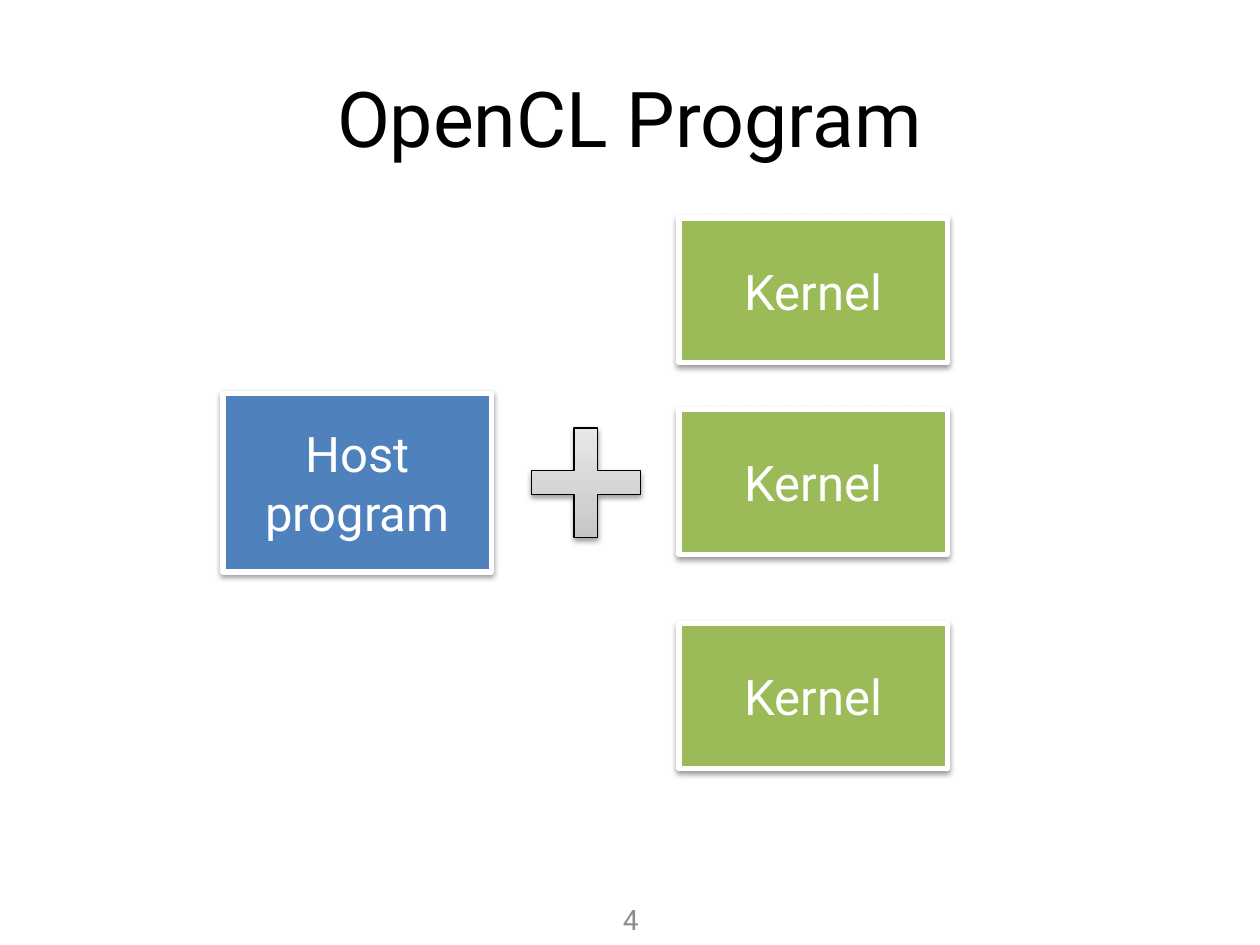
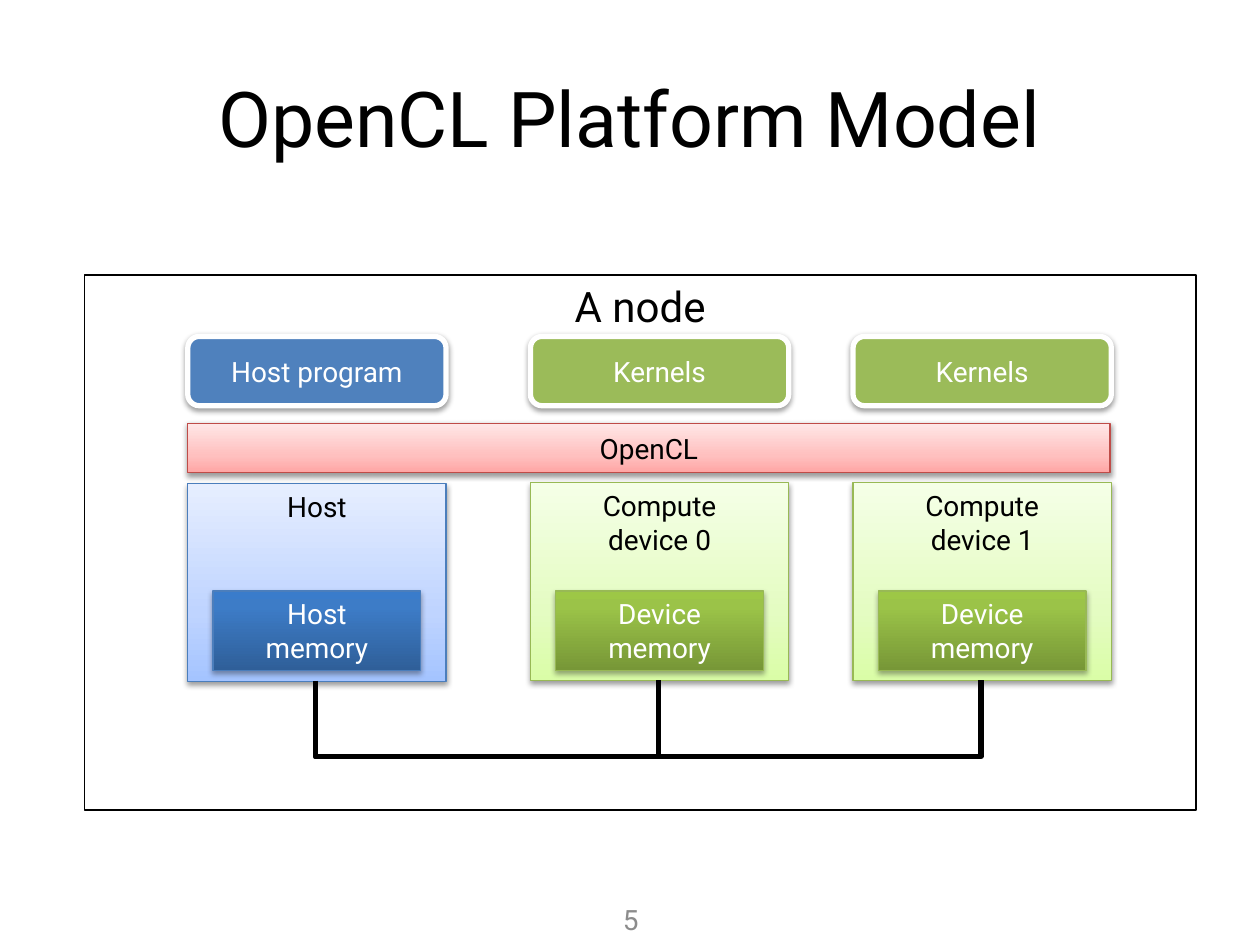
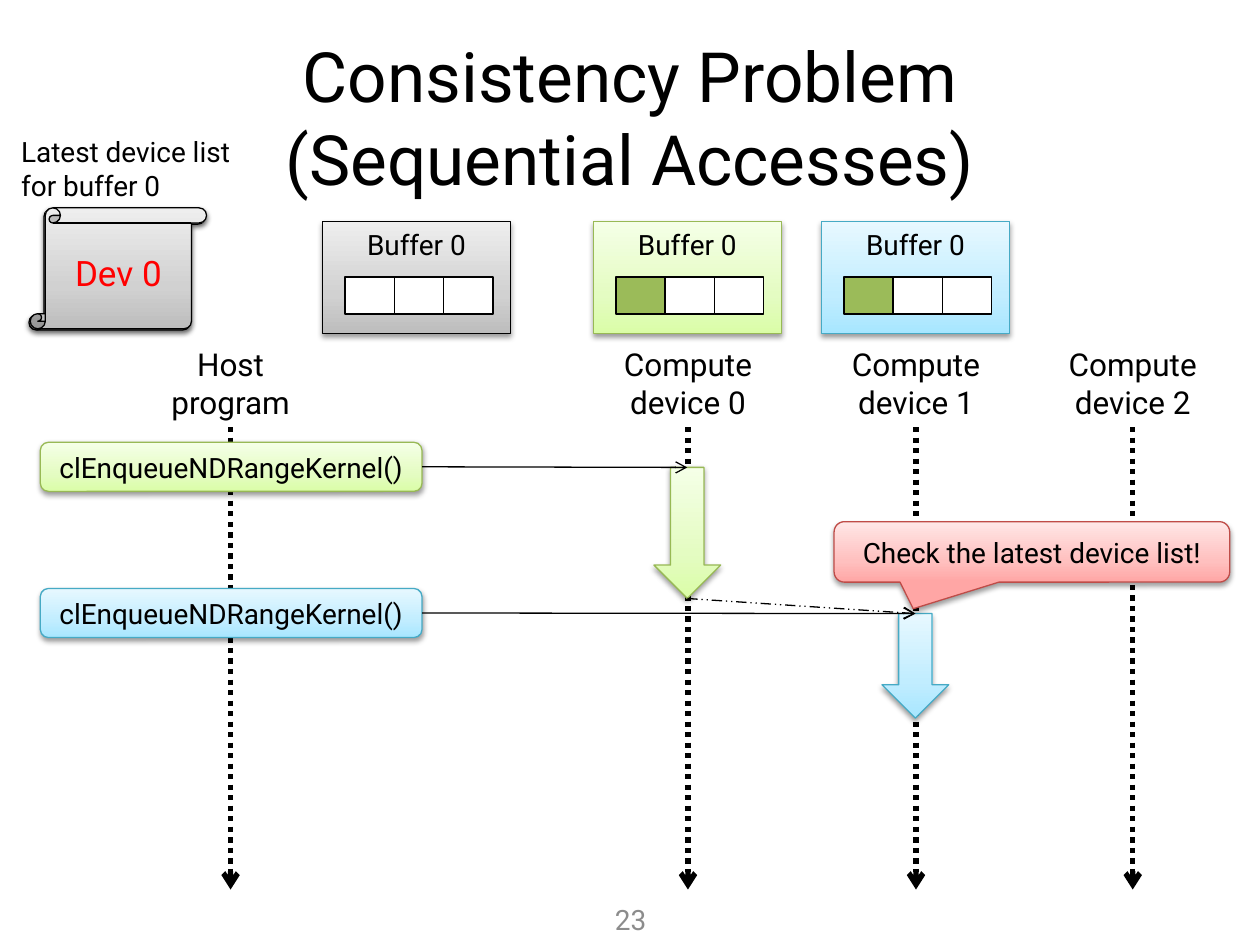
from copy import deepcopy
from dataclasses import dataclass
from typing import Optional

from lxml.etree import SubElement
from pptx import Presentation
from pptx.dml.color import RGBColor
from pptx.enum.dml import MSO_LINE as DASH
from pptx.enum.shapes import MSO_CONNECTOR as CONN, MSO_SHAPE as GEOM
from pptx.enum.text import MSO_ANCHOR as ANCHOR, PP_ALIGN as ALIGN
from pptx.oxml.ns import qn
from pptx.util import Emu, Pt

EMU_PER_PX = 9144
SLIDE_W, SLIDE_H = 1000, 750


@dataclass(frozen=True)
class Style:
    fill: tuple[str, ...]
    line: str
    weight: float = 0.75
    ink: str = "000000"
    stops: tuple[float, ...] = (0, 0.35, 1)
    shadow_alpha: int = 38
    shadow_dist: int = 20000


def solid(fill: str) -> Style:
    return Style((fill,), "FFFFFF", 3, "FFFFFF")


def cell(fill: str) -> Style:
    return Style((fill,), "000000", 1, shadow_alpha=0)


def deep(fill: tuple[str, ...], line: str) -> Style:
    return Style(fill, line, 0.75, "FFFFFF", (0, 0.8, 1), 35, 23000)


@dataclass(frozen=True)
class Theme:
    font: str = "Roboto"
    ink: str = "000000"
    muted: str = "8C8C8C"
    alert: str = "FF0000"
    title: float = 44
    title_small: float = 39.6
    block: float = 28
    heading: float = 24
    scroll: float = 20
    label: float = 18
    body: float = 16
    blue: Style = solid("4F81BD")
    green: Style = solid("9BBB59")
    empty: Style = cell("FFFFFF")
    dirty: Style = cell("9BBB59")
    gray: Style = Style(("BDBDBD", "D1D1D1", "EEEEEE"), "000000")
    pale_blue: Style = Style(("A4C4FF", "BFD4FF", "E6EEFF"), "4B7EBC")
    pale_green: Style = Style(("DAFDA7", "E4FCC2", "F5FFE7"), "98B955")
    pale_aqua: Style = Style(("A7E6FF", "C1EDFF", "E7F8FF"), "46AAC5")
    pale_red: Style = Style(("FFA6A5", "FFC0BF", "FFE7E7"), "BF4C48")
    deep_blue: Style = deep(("2F5F99", "3D7CC7", "3A7CCB"), "4B7EBC")
    deep_green: Style = deep(("779737", "9BC348", "9DC746"), "98B955")


T = Theme()


@dataclass(frozen=True)
class Box:
    x: int
    y: int
    w: int
    h: int
    style: Style
    text: str = ""
    size: float = T.body
    geom: GEOM = GEOM.RECTANGLE
    anchor: ANCHOR = ANCHOR.MIDDLE
    ink: Optional[str] = None
    adj: tuple[float, ...] = ()


@dataclass(frozen=True)
class Label:
    x: int
    y: int
    w: int
    h: int
    text: str
    size: float
    ink: str = T.ink
    anchor: ANCHOR = ANCHOR.TOP
    align: ALIGN = ALIGN.CENTER
    wrap: bool = True


def px(*lengths: int) -> list[Emu]:
    return [Emu(n * EMU_PER_PX) for n in lengths]


def rgb(value: str) -> RGBColor:
    return RGBColor.from_string(value)


def write(tf, text: str, size: float, ink: str, anchor: ANCHOR,
          align: ALIGN = ALIGN.CENTER, wrap: bool = True) -> None:
    tf.word_wrap = wrap
    tf.vertical_anchor = anchor
    for i, para in enumerate(text.split("\n")):
        p = tf.add_paragraph() if i else tf.paragraphs[0]
        p.alignment = align
        for j, part in enumerate(para.split("\v")):
            if j:
                p.add_line_break()
            r = p.add_run()
            r.text = part
            r.font.name = T.font
            r.font.size = Pt(size)
            r.font.color.rgb = rgb(ink)


def paint(sp, style: Style) -> None:
    if len(style.fill) == 1:
        sp.fill.solid()
        sp.fill.fore_color.rgb = rgb(style.fill[0])
    else:
        fill = sp.fill
        fill.gradient()
        fill.gradient_angle = 90
        stops = sp._element.spPr.find(".//" + qn("a:gsLst"))
        stops.append(deepcopy(stops[0]))
        for stop, pos, color in zip(fill.gradient_stops, style.stops, style.fill):
            stop.position = pos
            stop.color.rgb = rgb(color)
    sp.line.color.rgb = rgb(style.line)
    sp.line.width = Pt(style.weight)
    sp.shadow.inherit = False
    if style.shadow_alpha:
        effects = sp._element.spPr.find(qn("a:effectLst"))
        shadow = SubElement(effects, qn("a:outerShdw"), blurRad="40000",
                            dist=str(style.shadow_dist), dir="5400000", rotWithShape="0")
        color = SubElement(shadow, qn("a:srgbClr"), val="000000")
        SubElement(color, qn("a:alpha"), val=str(style.shadow_alpha * 1000))


def draw_box(shapes, b: Box):
    sp = shapes.add_shape(b.geom, *px(b.x, b.y, b.w, b.h))
    for i, value in enumerate(b.adj):
        sp.adjustments[i] = value
    paint(sp, b.style)
    if b.text:
        write(sp.text_frame, b.text, b.size, b.ink or b.style.ink, b.anchor)
    return sp


def draw_label(shapes, t: Label):
    sp = shapes.add_textbox(*px(t.x, t.y, t.w, t.h))
    write(sp.text_frame, t.text, t.size, t.ink, t.anchor, t.align, t.wrap)
    return sp


def style_line(cxn, weight: float) -> None:
    cxn.line.color.rgb = rgb(T.ink)
    cxn.line.width = Pt(weight)
    SubElement(cxn._element.spPr, qn("a:effectLst"))


def draw_arrow(shapes, start: tuple[int, int], end: tuple[int, int],
               weight: float = 0.75, dash: Optional[DASH] = None):
    cxn = shapes.add_connector(CONN.STRAIGHT, *px(*start, *end))
    style_line(cxn, weight)
    if dash:
        cxn.line.dash_style = dash
    SubElement(cxn.line._get_or_add_ln(), qn("a:tailEnd"), type="arrow")
    return cxn


def draw_bus(shapes, start: tuple[int, int], end: tuple[int, int], drop: int) -> None:
    (x1, y1), (x2, y2) = start, end
    span, rise = x2 - x1, y1 - y2
    left, top = (x1 + x2 - rise) // 2, (y1 + y2 - span) // 2
    cxn = shapes.add_connector(CONN.ELBOW, *px(left, top, left + rise, top + span))
    spPr = cxn._element.spPr
    for name, value in (("rot", "5400000"), ("flipH", "1"), ("flipV", "1")):
        spPr.find(qn("a:xfrm")).set(name, value)
    SubElement(spPr.find(".//" + qn("a:avLst")), qn("a:gd"),
               name="adj1", fmla=f"val {-drop * 100000 // rise}")
    style_line(cxn, 3)


def add_slide(prs, number: int):
    s = prs.slides.add_slide(prs.slide_layouts[6])
    draw_label(s.shapes, Label(461, 710, 79, 40, str(number), T.body, T.muted, ANCHOR.MIDDLE))
    return s.shapes


def draw_title(shapes, text: str, size: float = T.title) -> None:
    draw_label(shapes, Label(50, 30, 900, 125, text, size, anchor=ANCHOR.MIDDLE))


def program_slide(prs) -> None:
    shapes = add_slide(prs, 4)
    draw_title(shapes, "OpenCL Program")
    draw_box(shapes, Box(177, 312, 213, 142, T.blue, "Host program", T.block))
    for y in (173, 325, 495):
        draw_box(shapes, Box(539, y, 213, 115, T.green, "Kernel", T.block))
    draw_box(shapes, Box(406, 324, 118, 118, T.gray, geom=GEOM.MATH_PLUS, adj=(0.16,)))


@dataclass(frozen=True)
class Unit:
    x: int
    y: int
    name: str
    memory: str
    program: str
    panel: Style
    store: Style
    top: Style


def platform_slide(prs) -> None:
    shapes = add_slide(prs, 5)
    draw_box(shapes, Box(67, 218, 882, 425, T.empty, "A node", T.heading, anchor=ANCHOR.TOP))
    draw_title(shapes, "OpenCL Platform Model")
    device = ("Device\nmemory", "Kernels", T.pale_green, T.deep_green, T.green)
    units = [
        Unit(149, 384, "Host", "Host\nmemory", "Host program",
             T.pale_blue, T.deep_blue, T.blue),
        Unit(421, 383, "Compute\ndevice 0", *device),
        Unit(677, 383, "Compute\ndevice 1", *device),
    ]
    w, h = 205, 157
    for u in units:
        draw_box(shapes, Box(u.x, u.y, w, h, u.panel, u.name, anchor=ANCHOR.TOP))
        draw_box(shapes, Box(u.x + 20, 469, 165, 63, u.store, u.memory))
        draw_box(shapes, Box(u.x, 267, w, 55, u.top, u.program, geom=GEOM.ROUNDED_RECTANGLE))
    host, *devices = [(u.x + w // 2, u.y + h) for u in units]
    for end in devices:
        draw_bus(shapes, host, end, 61)
    draw_box(shapes, Box(149, 336, 732, 39, T.pale_red, "OpenCL"))


@dataclass(frozen=True)
class Call:
    y: int
    style: Style
    target: int
    run_h: int


def draw_buffer(shapes, x: int, style: Style, written: bool) -> None:
    group = shapes.add_group_shape().shapes
    draw_box(group, Box(x, 176, 149, 89, style, "Buffer 0", anchor=ANCHOR.TOP))
    for i in range(3):
        fill = T.dirty if written and i == 0 else T.empty
        draw_box(group, Box(x + 18 + 39 * i, 220, 39, 29, fill))


def consistency_slide(prs) -> None:
    shapes = add_slide(prs, 23)
    draw_title(shapes, "Consistency Problem\v(Sequential Accesses)", T.title_small)
    lanes = [(183, "Host\nprogram")]
    lanes += [(x, f"Compute\ndevice {i}") for i, x in enumerate((546, 727, 899))]
    for x, name in lanes:
        label = draw_label(shapes, Label(x - 61, 269, 122, 70, name, T.label, wrap=False))
        line = draw_arrow(shapes, (x, 339), (x, 706), 3, DASH.ROUND_DOT)
        line.begin_connect(label, 2)

    runs = []
    for c in (Call(351, T.pale_green, 546, 104), Call(467, T.pale_aqua, 727, 83)):
        call = draw_box(shapes, Box(32, c.y, 303, 39, c.style, "clEnqueueNDRangeKernel()",
                                    geom=GEOM.ROUNDED_RECTANGLE))
        mid = c.y + 20
        run = draw_box(shapes, Box(c.target - 27, mid, 53, c.run_h, c.style,
                                   geom=GEOM.DOWN_ARROW))
        launch = draw_arrow(shapes, (335, mid), (c.target, mid))
        launch.begin_connect(call, 3)
        launch.end_connect(run, 0)
        runs.append(run)
    order = draw_arrow(shapes, (546, 475), (727, 487), dash=DASH.DASH_DOT_DOT)
    order.begin_connect(runs[0], 2)
    order.end_connect(runs[1], 0)

    draw_label(shapes, Label(7, 102, 193, 64, "Latest device list\nfor buffer 0", T.body,
                             align=ALIGN.LEFT, wrap=False))
    for x, y, text in ((23, 166, ""), (24, 165, "Dev 0")):
        draw_box(shapes, Box(x, y, 140, 96, T.gray, text, T.scroll,
                             GEOM.VERTICAL_SCROLL, ink=T.alert))
    draw_box(shapes, Box(662, 414, 314, 48, T.pale_red, "Check the latest device list!",
                         geom=GEOM.ROUNDED_RECTANGULAR_CALLOUT, adj=(-0.3, 0.94, 0.17)))
    for x, style, written in ((256, T.gray, False), (471, T.pale_green, True),
                              (652, T.pale_aqua, True)):
        draw_buffer(shapes, x, style, written)


def main() -> None:
    prs = Presentation()
    prs.slide_width, prs.slide_height = px(SLIDE_W, SLIDE_H)
    program_slide(prs)
    platform_slide(prs)
    consistency_slide(prs)
    prs.save("out.pptx")


if __name__ == "__main__":
    main()
